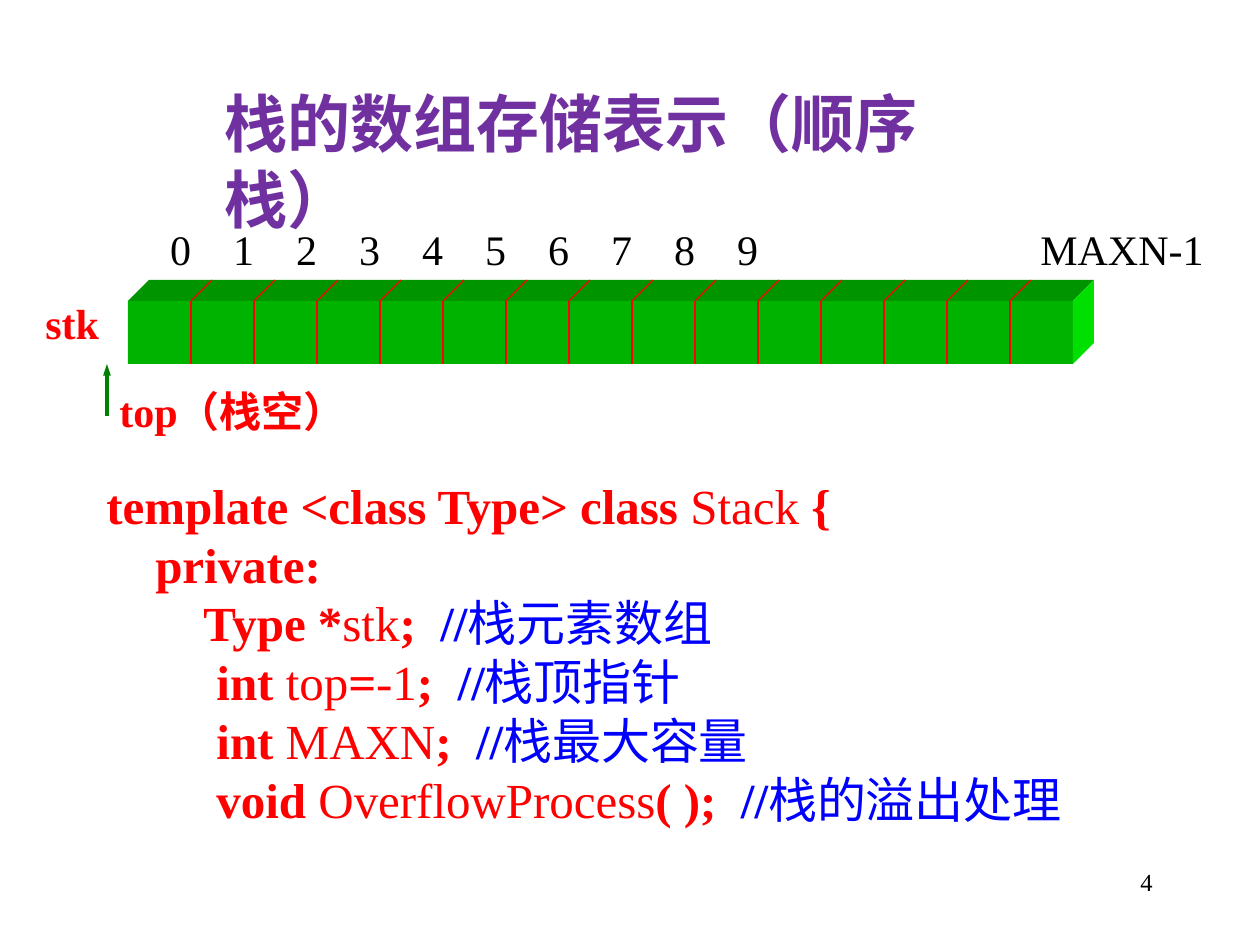
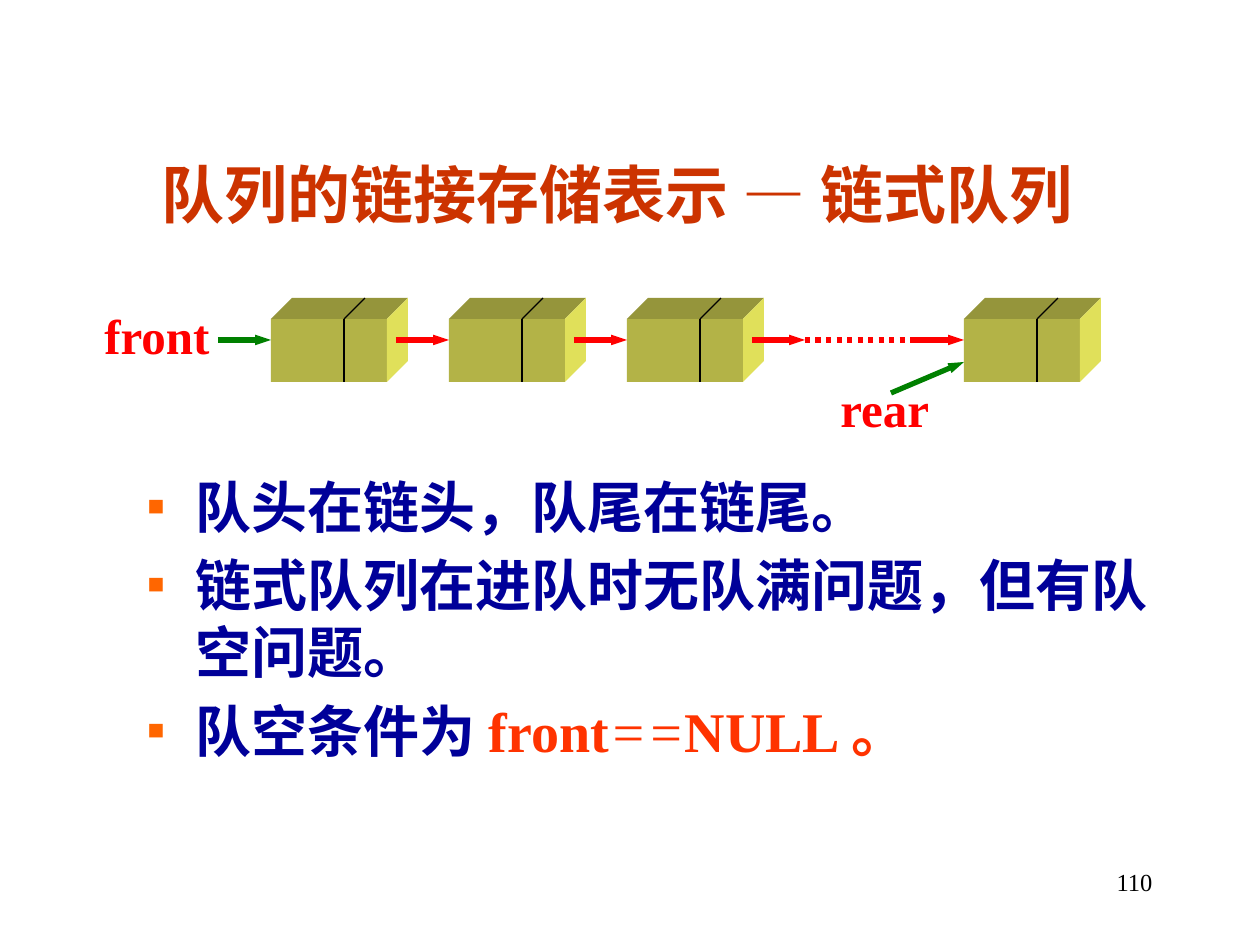
import pptx
import pptx.util
import pptx.dml.color
import pptx.enum.dml
import pptx.enum.shapes
import pptx.enum.text
import pptx.oxml
import pptx.oxml.ns
from dataclasses import dataclass
from lxml import etree

SCALE = 914400 / 126  # EMU in one px


@dataclass(frozen=True)
class Theme:
    font: str = "Times New Roman"
    # Colours
    red: str = "FF0000"
    blue: str = "0000FF"
    green: str = "008000"
    black: str = "000000"
    navy: str = "000099"
    plum: str = "7030A0"
    rust: str = "CC3300"
    flame: str = "FF3300"
    mark: str = "FF6600"
    # Block faces: front, top, side
    lime: tuple = ("00B300", "009500", "00E000")
    olive: tuple = ("B3B347", "95953B", "E0E05A")
    # Type sizes
    head: int = 36
    list: int = 32
    code: int = 28
    label: int = 24
    page: int = 14


T = Theme()
ALIGN = pptx.enum.text.PP_ALIGN
DEPTH = 21
HIGH = 63


def px(n):
    return pptx.util.Emu(round(n * SCALE))


def rgb(code):
    return pptx.dml.color.RGBColor.from_string(code)


def add(parent, tag, **attrs):
    node = etree.SubElement(parent, pptx.oxml.ns.qn(tag))
    for key, value in attrs.items():
        node.set(key, value)
    return node


# Text
def write(para, text, size=T.label, color=T.black, bold=False, italic=False):
    run = para.add_run()
    run.text = text
    font = run.font
    font.name, font.size = T.font, pptx.util.Pt(size)
    font.bold, font.italic = bold, italic
    font.color.rgb = rgb(color)


def frame(slide, x, y, w, h):
    box = slide.shapes.add_textbox(px(x), px(y), px(w), px(h))
    box.text_frame.word_wrap = True
    return box.text_frame


def label(slide, text, x, y, w, h=63, align=ALIGN.LEFT, **style):
    para = frame(slide, x, y, w, h).paragraphs[0]
    para.alignment = align
    write(para, text, **style)


def place(holder, x, y, w, h):
    holder.left, holder.top = px(x), px(y)
    holder.width, holder.height = px(w), px(h)
    holder.text_frame.auto_size = pptx.enum.text.MSO_AUTO_SIZE.NONE
    return holder.text_frame


def title(slide, text, color, *spot):
    body = place(slide.shapes.title, *spot)
    body.vertical_anchor = pptx.enum.text.MSO_ANCHOR.MIDDLE
    para = body.paragraphs[0]
    para.alignment = ALIGN.LEFT
    write(para, text, size=T.head, color=color, bold=True)


def lines(body, rows, size, styles):
    """Fill a frame with rows of (style key, text) runs; yield each paragraph."""
    for i, row in enumerate(rows):
        para = body.add_paragraph() if i else body.paragraphs[0]
        yield para
        for key, text in row:
            write(para, text, size=size, **styles[key])


def bullet(para):
    props = para._p.get_or_add_pPr()
    props.set("marL", str(px(48)))
    props.set("indent", str(px(-48)))
    add(add(props, "a:buClr"), "a:srgbClr", val=T.mark)
    add(props, "a:buSzPct", val="50000")
    add(props, "a:buFont", typeface="Arial")
    add(props, "a:buChar", char="■")


def page(slide, number):
    label(slide, number, 903, 861, 262, align=ALIGN.RIGHT, size=T.page)


# Lines and blocks
def line(slide, x1, y1, x2, y2, color, width=0.75, arrow=False, dots=False):
    link = slide.shapes.add_connector(
        pptx.enum.shapes.MSO_CONNECTOR.STRAIGHT, px(x1), px(y1), px(x2), px(y2))
    link.line.color.rgb = rgb(color)
    link.line.width = pptx.util.Pt(width)
    if dots:
        link.line.dash_style = pptx.enum.dml.MSO_LINE.ROUND_DOT
    if arrow:
        add(link.line._get_or_add_ln(), "a:tailEnd", type="triangle", w="sm", len="med")
    add(link._element.spPr, "a:effectLst")


def paint(shape, color):
    shape.shadow.inherit = False
    shape.fill.solid()
    shape.fill.fore_color.rgb = rgb(color)
    shape.line.fill.background()


def face(slide, points, color):
    path = [(px(x), px(y)) for x, y in points]
    build = slide.shapes.build_freeform(*path[0])
    build.add_line_segments(path[1:], close=True)
    paint(build.convert_to_shape(), color)


def block(slide, x, y, w, colors, cuts, ink):
    """Draw a solid bar with its top and right faces, cut at the given offsets."""
    front, top, side = colors
    right, low, back = x + w, y + HIGH, y - DEPTH
    rect = slide.shapes.add_shape(
        pptx.enum.shapes.MSO_SHAPE.RECTANGLE, px(x), px(y), px(w), px(HIGH))
    paint(rect, front)
    face(slide, [(x, y), (x + DEPTH, back), (right + DEPTH, back), (right, y)], top)
    face(slide, [(right, y), (right + DEPTH, back),
                 (right + DEPTH, low - DEPTH), (right, low)], side)
    for cut in cuts:
        line(slide, x + cut, y, x + cut, low, ink)
        line(slide, x + cut, y, x + cut + DEPTH, back, ink)


# Slides
def stack(deck):
    slide = deck.slides.add_slide(deck.slide_layouts[5])
    title(slide, "栈的数组存储表示（顺序栈）", T.plum, 212, 113, 837, 95)

    # Array with its indices
    cell = 63
    block(slide, 128, 301, 15 * cell, T.lime, range(cell, 15 * cell, cell), T.red)
    for i in range(10):
        label(slide, str(i), 149 + i * cell, 217, cell, align=ALIGN.CENTER)
    label(slide, "MAXN-1", 1028, 217, 200)
    label(slide, "stk", 33, 291, 95, color=T.red, bold=True)
    line(slide, 107, 416, 107, 364, T.green, 2.25, arrow=True)
    label(slide, "top（栈空）", 107, 379, 280, color=T.red, bold=True)

    # Class code: b bold, n plain, s slashes, c comment
    styles = {
        "b": dict(color=T.red, bold=True),
        "n": dict(color=T.red),
        "s": dict(color=T.blue, bold=True),
        "c": dict(color=T.blue),
    }
    rows = [
        [("b", "template <class Type> class "), ("n", "Stack "), ("b", "{")],
        [("b", "    private:")],
        [("b", "        Type *"), ("n", "stk"), ("b", ";  "),
         ("s", "//"), ("c", "栈元素数组")],
        [("b", "         int "), ("n", "top"), ("b", "="), ("n", "-1"), ("b", ";  "),
         ("s", "//"), ("c", "栈顶指针")],
        [("b", "         int"), ("n", " MAXN"), ("b", ";  "),
         ("s", "//"), ("c", "栈最大容量")],
        [("b", "         void "), ("n", "OverflowProcess"), ("b", "( );  "),
         ("s", "//"), ("c", "栈的溢出处理")],
    ]
    for _ in lines(frame(slide, 94, 469, 1061, 369), rows, T.code, styles):
        pass
    page(slide, "4")


def queue(deck):
    slide = deck.slides.add_slide(deck.slide_layouts[1])
    title(slide, "队列的链接存储表示 — 链式队列", T.rust, 149, 151, 949, 84)

    # Linked nodes: three at an even pitch, then the last
    first, pitch, last, mid, gap = 271, 178, 964, 340, 53
    nodes = [first + i * pitch for i in range(3)] + [last]
    for x in nodes:
        block(slide, x, 319, 116, T.olive, [73], T.black)
    dots = nodes[2] + pitch
    for tip in nodes[1:] + [dots]:
        line(slide, tip - gap, mid, tip, mid, T.red, 3, arrow=True)
    line(slide, dots, mid, last - gap, mid, T.red, 3, dots=True)

    # Pointers
    line(slide, first - gap, mid, first, mid, T.green, 3, arrow=True)
    line(slide, 891, 393, last, 362, T.green, 3, arrow=True)
    for name, x, y in [("front", 92, 299), ("rear", 828, 372)]:
        label(slide, name, x, y, 150, 72, size=T.code, color=T.red, bold=True)

    # Notes on the queue
    styles = {
        "b": dict(color=T.navy, bold=True),
        "h": dict(color=T.flame, bold=True),
        "i": dict(color=T.flame, italic=True),
    }
    rows = [
        [("b", "队头在链头，队尾在链尾。")],
        [("b", "链式队列在进队时无队满问题，但有队空问题。")],
        [("b", "队空条件为 "), ("h", "front"), ("i", "=="), ("h", "NULL 。")],
    ]
    body = place(slide.placeholders[1], 135, 466, 1029, 357)
    for para in lines(body, rows, T.list, styles):
        bullet(para)
    body.paragraphs[0].space_before = pptx.util.Pt(0)
    page(slide, "110")


def main():
    deck = pptx.Presentation()
    deck.slide_width, deck.slide_height = px(1260), px(945)
    stack(deck)
    queue(deck)
    deck.save("out.pptx")


if __name__ == "__main__":
    main()
